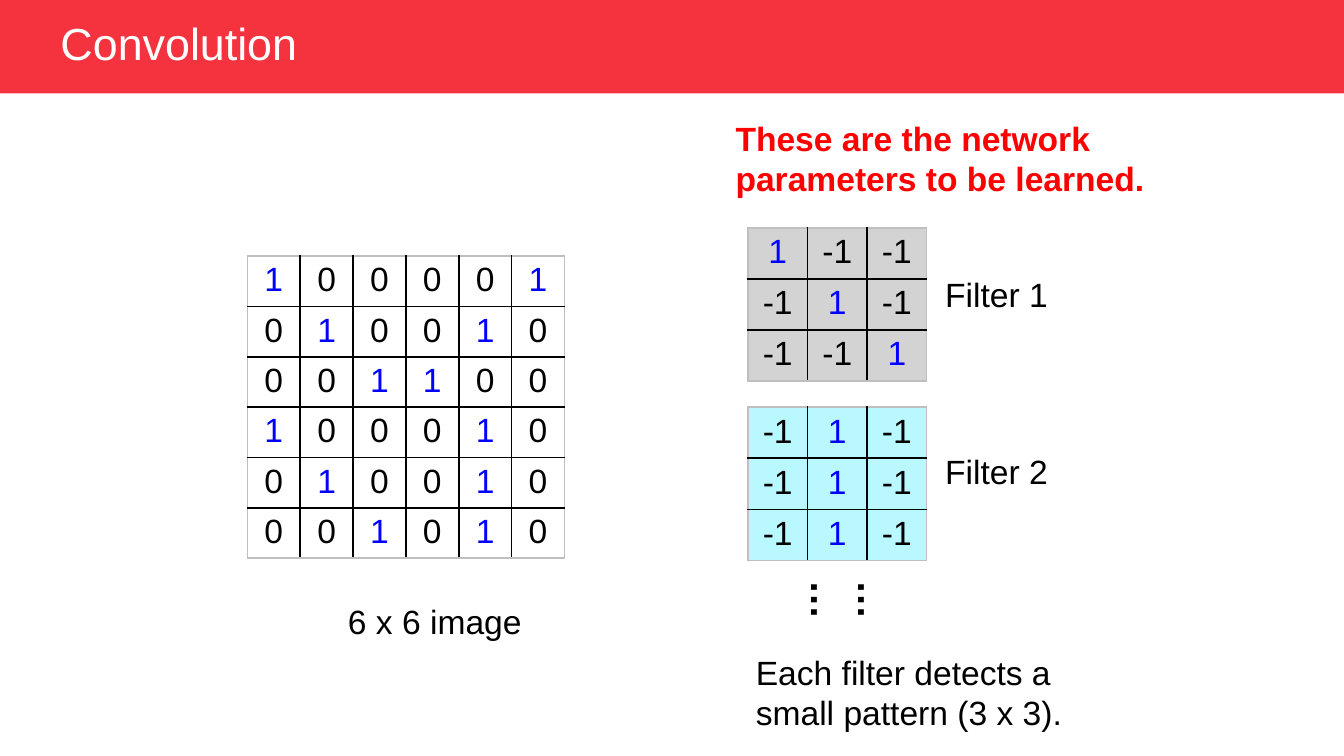
"""Build the convolution filters slide."""
from pptx import Presentation
from pptx.dml.color import RGBColor
from pptx.enum.shapes import MSO_SHAPE
from pptx.enum.text import MSO_ANCHOR, MSO_AUTO_SIZE, PP_ALIGN
from pptx.oxml import parse_xml
from pptx.oxml.ns import nsdecls
from pptx.util import Inches, Pt

BLACK, BLUE, RED, WHITE = "000000", "0000FF", "FF0000", "FFFFFF"
BANNER, GREY, CYAN, FRAME = "F5333F", "D3D3D3", "BAF8FF", "BFBFBF"

IMAGE = ["1 0 0 0 0 1", "0 1 0 0 1 0", "0 0 1 1 0 0",
         "1 0 0 0 1 0", "0 1 0 0 1 0", "0 0 1 0 1 0"]
DIAGONAL = ["1 -1 -1", "-1 1 -1", "-1 -1 1"]
VERTICAL = ["-1 1 -1"] * 3


def rgb(color):
    """Turn a hex string into a colour."""
    return RGBColor.from_string(color)


class Slide:
    """Holds the style and the current slide, measured on a 100-column grid."""

    font, size, row = "Arial", 18, 3.75

    def __init__(self, prs):
        """Add a title-only slide and find the grid unit."""
        self.unit = prs.slide_width / 100
        self.s = prs.slides.add_slide(prs.slide_layouts[5])

    def box(self, *cells):
        """Convert grid units to lengths."""
        return [round(c * self.unit) for c in cells]

    def style(self, p, color=BLACK, size=None, bold=False, align=PP_ALIGN.LEFT):
        """Format a paragraph and its runs."""
        p.alignment = align
        for r in p.runs:
            r.font.name, r.font.size, r.font.bold = self.font, Pt(size or self.size), bold
            r.font.color.rgb = rgb(color)

    def title(self, text, at, banner_height):
        """Place the title on a full-width banner."""
        banner = self.s.shapes.add_shape(MSO_SHAPE.RECTANGLE, *self.box(0, 0, 100, banner_height))
        banner.shadow.inherit = False
        banner.fill.solid()
        banner.fill.fore_color.rgb = rgb(BANNER)
        banner.line.fill.background()
        sp = self.s.shapes.title
        banner._element.addnext(sp._element)
        sp.left, sp.top, sp.width, sp.height = self.box(*at)
        tf = sp.text_frame
        tf.text = text
        tf.auto_size, tf.vertical_anchor = MSO_AUTO_SIZE.NONE, MSO_ANCHOR.MIDDLE
        tf.paragraphs[0].line_spacing = 0.9
        self.style(tf.paragraphs[0], WHITE, 24)

    def text(self, text, at, rotation=0, **style):
        """Add a wrapping text box."""
        sp = self.s.shapes.add_textbox(*self.box(*at))
        sp.rotation = rotation
        tf = sp.text_frame
        tf.word_wrap, tf.auto_size = True, MSO_AUTO_SIZE.SHAPE_TO_FIT_TEXT
        tf.text = text
        self.style(tf.paragraphs[0], **style)

    def matrix(self, rows, left, top, width, margin, fill=None):
        """Add a table of numbers with the ones in blue and a light frame."""
        values = [row.split() for row in rows]
        n, m = len(values), len(values[0])
        table = self.s.shapes.add_table(n, m, *self.box(left, top, width, n * self.row)).table
        table.first_row = table.horz_banding = False
        for i, row in enumerate(values):
            for j, value in enumerate(row):
                outer = (j == 0, j == m - 1, i == 0, i == n - 1)
                self.cell(table.cell(i, j), value, margin, fill, outer)

    def cell(self, cell, value, margin, fill, outer):
        """Fill, border and label one matrix cell."""
        cell.margin_left = cell.margin_right = Inches(margin)
        cell.margin_top = cell.margin_bottom = Inches(0.04)
        if fill:
            cell.fill.solid()
            cell.fill.fore_color.rgb = rgb(fill)
        else:
            cell.fill.background()
        for i, side in enumerate("LRTB"):
            color = FRAME if outer[i] else BLACK
            cell._tc.get_or_add_tcPr().insert(i, parse_xml(
                f'<a:ln{side} {nsdecls("a")} w="{Pt(1)}"><a:solidFill>'
                f'<a:srgbClr val="{color}"/></a:solidFill></a:ln{side}>'))
        cell.text = value
        self.style(cell.text_frame.paragraphs[0], BLUE if value == "1" else BLACK,
                   align=PP_ALIGN.CENTER)


def main():
    """Build and save the slide."""
    prs = Presentation()
    prs.slide_width = Inches(10)
    prs.slide_height = prs.slide_width * 9 // 16
    slide = Slide(prs)
    slide.title("Convolution", (3.5, 1.3, 40.9, 4.2), 6.95)
    slide.matrix(IMAGE, 18.4, 19.05, 23.6, 0.07)
    slide.text("6 x 6 image", (22.75, 44.25, 19.2, 4), align=PP_ALIGN.CENTER)
    filters = [(DIAGONAL, 16.95, 19.9, GREY), (VERTICAL, 30.3, 33.1, CYAN)]
    for n, (rows, top, label_top, fill) in enumerate(filters, 1):
        slide.matrix(rows, 55.65, top, 13.3, 0.08, fill)
        slide.text(f"Filter {n}", (68.2, label_top, 11.9, 4), align=PP_ALIGN.CENTER)
    slide.text("……", (60.3, 41.05, 5.8, 8.1), rotation=90, size=21, bold=True)
    slide.text("These are the network parameters to be learned.",
               (53.75, 8.25, 42.3, 7.1), color=RED, bold=True)
    slide.text("Each filter detects a small pattern (3 x 3).", (55.25, 48, 29.2, 7.1))
    prs.save("out.pptx")


if __name__ == "__main__":
    main()
